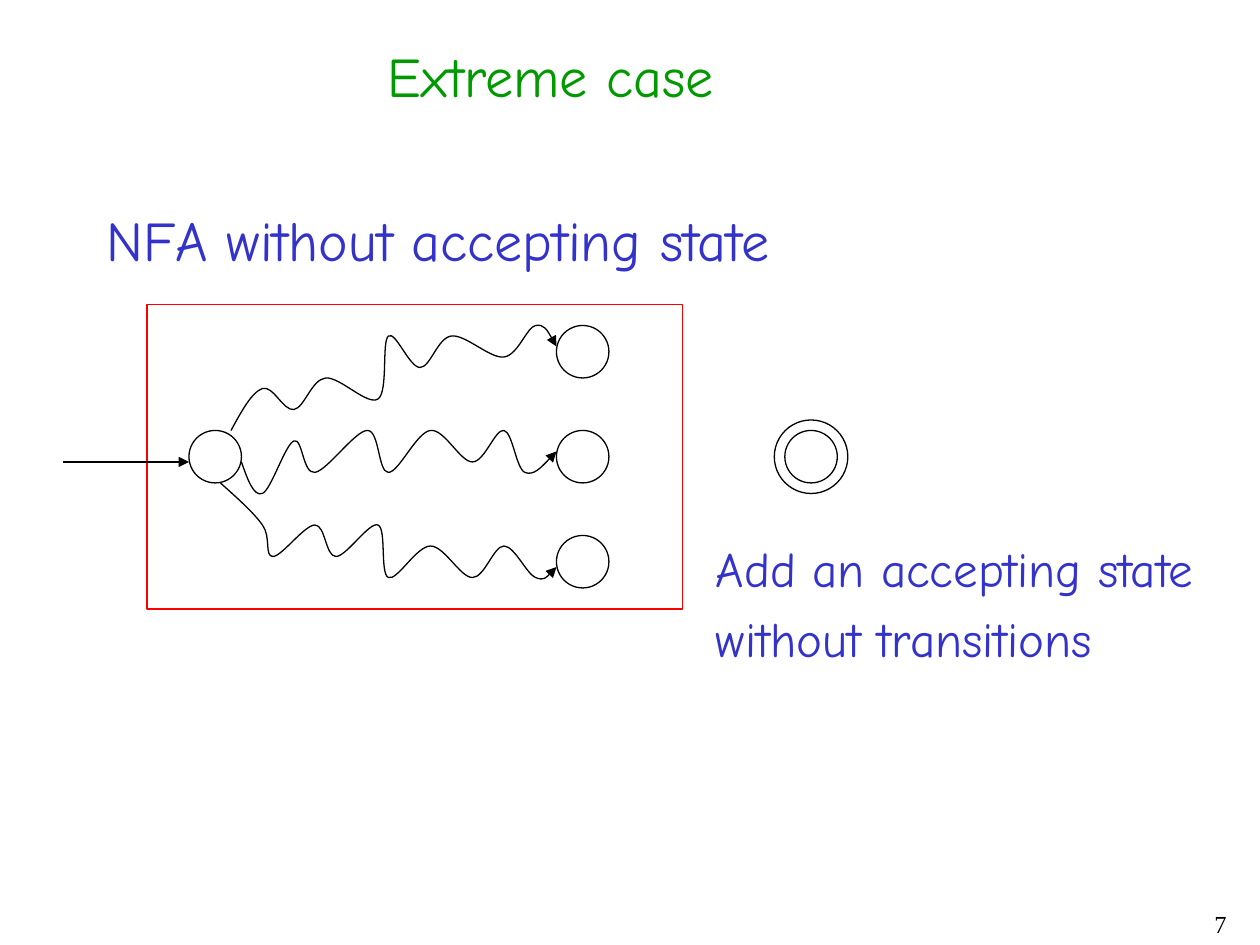
from dataclasses import dataclass

from lxml.etree import SubElement
from pptx import Presentation
from pptx.dml.color import RGBColor
from pptx.enum.shapes import MSO_CONNECTOR, MSO_SHAPE
from pptx.enum.text import PP_ALIGN
from pptx.oxml.ns import qn
from pptx.util import Pt


@dataclass(frozen=True)
class Theme:
    """Colours, fonts and sizes of the slide."""
    ink: str = "000000"
    blue: str = "3333CC"
    green: str = "009900"
    red: str = "FF0000"
    font: str = "Comic Neue"
    serif: str = "Times New Roman"
    head: float = 32
    note: float = 28
    small: float = 14
    line: float = 0.75
    gap: float = 0.23


def bend(knots):
    """Yield two controls and an end for each span of a smooth curve."""
    last = len(knots) - 1

    def lean(i):
        """Return a sixth of the step between the neighbours of a knot."""
        return [(b - a) / 6 for a, b in zip(knots[i - 1], knots[i + 1])]

    def middle(a, b):
        """Return the point halfway between two points."""
        return [(p + q) / 2 for p, q in zip(a, b)]

    for i in range(last):
        start, end = knots[i], knots[i + 1]
        if i > 0:
            first = [p + d for p, d in zip(start, lean(i))]
        if i + 1 < last:
            second = [p - d for p, d in zip(end, lean(i + 1))]
        else:
            second = middle(first, end)
        if i == 0:
            first = middle(start, second)
        yield first, second, end


class Pen:
    """Draws styled items on one slide."""

    def __init__(self, slide, theme):
        """Keep the slide and its theme."""
        self.shapes = slide.shapes
        self.theme = theme

    def stroke(self, item, color, arrow=False):
        """Style the line of an item."""
        item.line.color.rgb = RGBColor.from_string(color)
        item.line.width = Pt(self.theme.line)
        if arrow:
            SubElement(item.line._get_or_add_ln(), qn("a:tailEnd"), type="triangle")

    def shape(self, kind, x, y, w, h, color):
        """Add a hollow preset shape."""
        item = self.shapes.add_shape(kind, Pt(x), Pt(y), Pt(w), Pt(h))
        item.shadow.inherit = False
        item.fill.background()
        self.stroke(item, color)

    def state(self, x, y, size=30):
        """Add a round state."""
        self.shape(MSO_SHAPE.OVAL, x, y, size, size, self.theme.ink)

    def arrow(self, x, y, x2, y2):
        """Add a straight arrow."""
        item = self.shapes.add_connector(
            MSO_CONNECTOR.STRAIGHT, Pt(x), Pt(y), Pt(x2), Pt(y2))
        self.stroke(item, self.theme.ink, arrow=True)
        SubElement(item._element.spPr, qn("a:effectLst"))

    def wave(self, knots):
        """Add a smooth curved arrow through the knots."""
        spots = [(Pt(x), Pt(y)) for x, y in knots]
        draft = self.shapes.build_freeform(*spots[0])
        draft.add_line_segments(spots[1:], close=False)
        item = draft.convert_to_shape()
        item.shadow.inherit = False
        item.fill.background()
        self.stroke(item, self.theme.ink, arrow=True)
        trail = next(item._element.iter(qn("a:path")))
        local = [(int(p.get("x")), int(p.get("y"))) for p in trail.iter(qn("a:pt"))]
        for part in trail.findall(qn("a:lnTo")):
            trail.remove(part)
        for span in bend(local):
            curve = SubElement(trail, qn("a:cubicBezTo"))
            for x, y in span:
                SubElement(curve, qn("a:pt"), x=str(round(x)), y=str(round(y)))

    def text(self, words, x, y, w, h, size, color, font=None, gap=None,
             align=PP_ALIGN.LEFT):
        """Add a text box with one style."""
        frame = self.shapes.add_textbox(Pt(x), Pt(y), Pt(w), Pt(h)).text_frame
        frame.word_wrap = True
        frame.text = words
        for para in frame.paragraphs:
            para.alignment = align
            para.space_before = Pt(size * (self.theme.gap if gap is None else gap))
            for run in para.runs:
                run.font.size = Pt(size)
                run.font.name = font or self.theme.font
                run.font.color.rgb = RGBColor.from_string(color)


WAVES = [
    [(132, 246), (150, 222), (168, 234), (186, 216), (216, 228), (222, 192),
     (240, 210), (258, 192), (288, 204), (306, 186), (318, 198)],
    [(138, 264), (150, 282), (168, 252), (180, 270), (210, 246), (222, 270),
     (246, 246), (270, 264), (288, 246), (300, 270), (318, 258)],
    [(126, 276), (150, 300), (156, 318), (180, 300), (192, 318), (216, 300),
     (222, 330), (246, 312), (270, 330), (288, 312), (306, 330), (318, 324)],
]


def main():
    """Build and save the slide."""
    deck = Presentation()
    deck.slide_width, deck.slide_height = Pt(720), Pt(540)
    theme = Theme()
    pen = Pen(deck.slides.add_slide(deck.slide_layouts[6]), theme)

    pen.text("7", 558, 516, 150, 24, theme.small, theme.ink, theme.serif,
             gap=0, align=PP_ALIGN.RIGHT)
    pen.shape(MSO_SHAPE.RECTANGLE, 84, 174, 306, 174, theme.red)
    pen.state(108, 246)
    for row in range(3):
        pen.state(318, 186 + 60 * row)
    pen.arrow(36, 264, 108, 264)
    for knots in WAVES:
        pen.wave(knots)
    pen.text("NFA without accepting state", 54, 114, 446.5, 45,
             theme.head, theme.blue)
    pen.state(448.5, 246)
    pen.state(442.5, 240, 42)
    pen.text("Add an accepting state\nwithout transitions", 402, 304, 316, 81,
             theme.note, theme.blue)
    pen.text("Extreme case", 214.5, 20, 219.5, 45, theme.head, theme.green)
    deck.save("out.pptx")


main()
